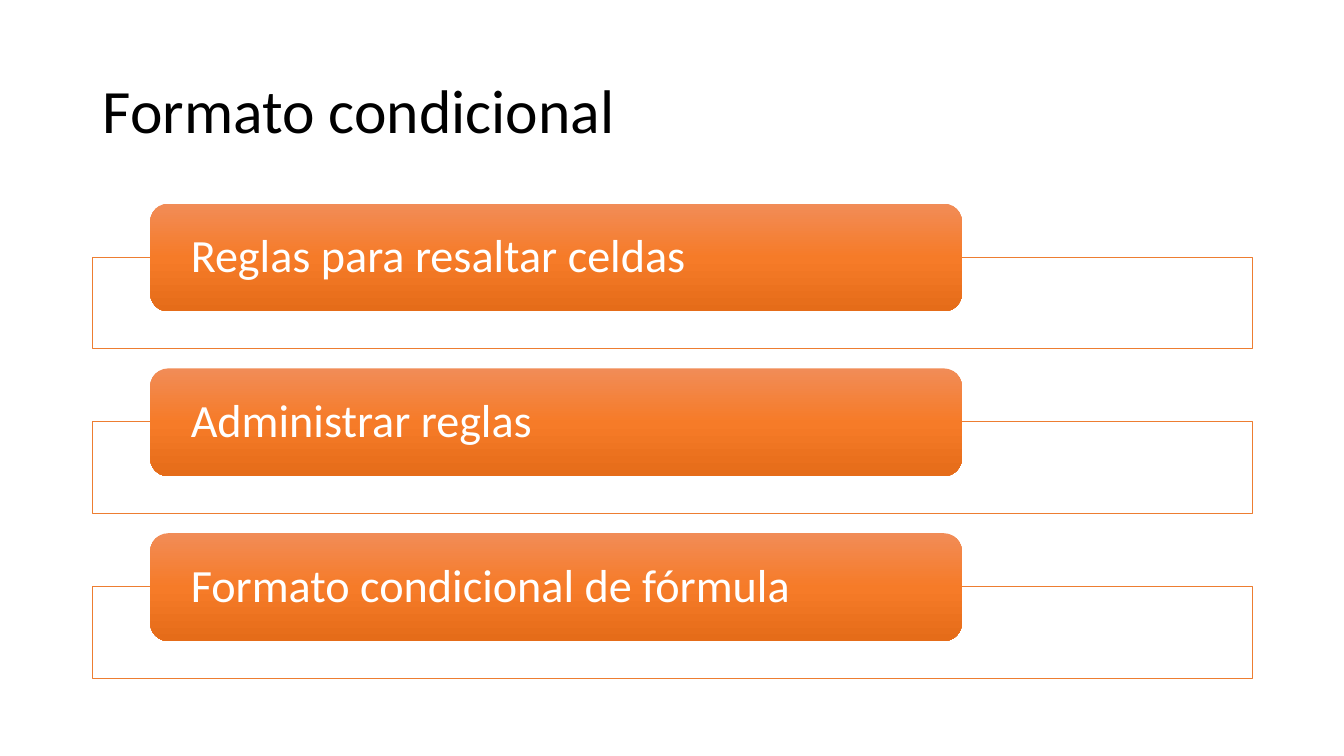
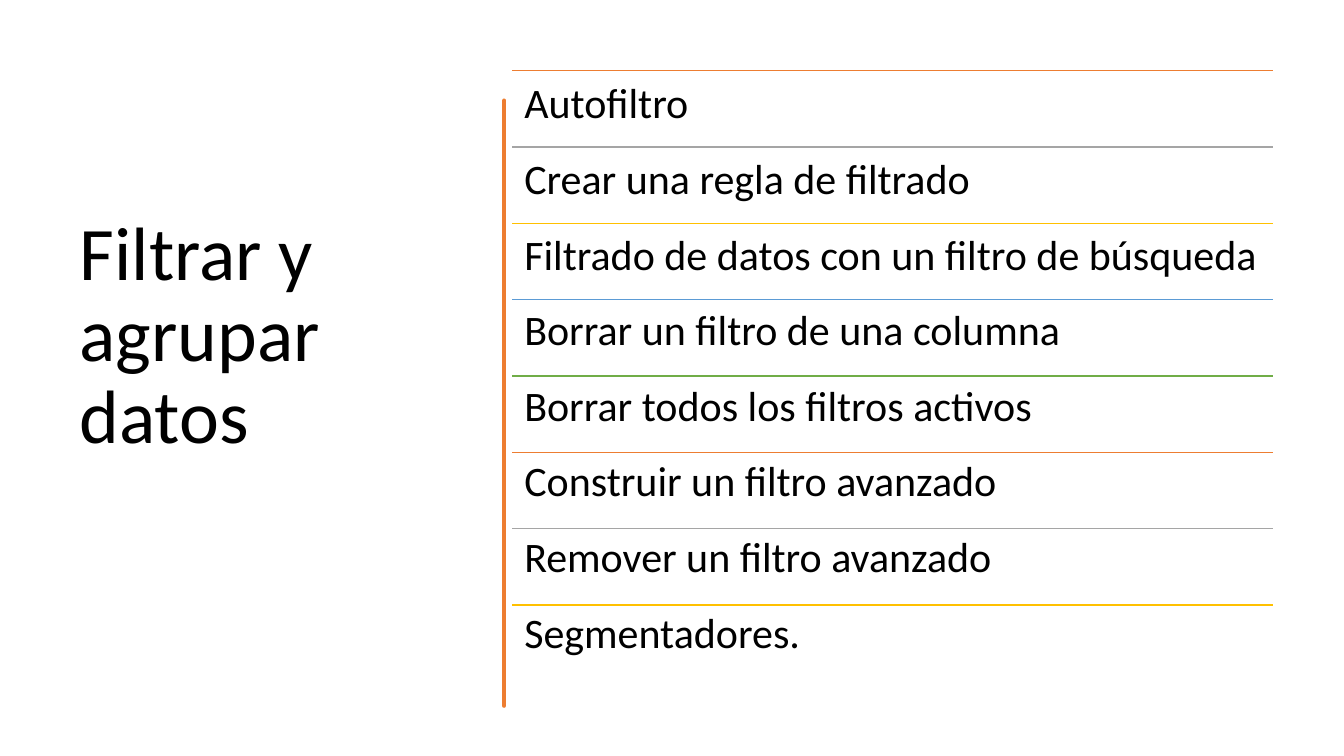
from dataclasses import dataclass

from lxml import etree
from pptx import Presentation
from pptx import util as u
from pptx.dml.color import RGBColor
from pptx.enum import shapes, text
from pptx.oxml.ns import qn

WIDTH, HEIGHT = 13.33, 7.5
FONT = "Calibri"
BLACK, WHITE = "000000", "FFFFFF"
ORANGE, GREY, GOLD, BLUE, GREEN = "ED7D31", "A5A5A5", "FFC000", "5B9BD5", "70AD47"
RULE_COLOURS = (ORANGE, GREY, GOLD, BLUE, GREEN)
CARD_GRADIENT = ((0, "F18C57"), (50, "F67B28"), (100, "E56C19"))

RULES = ("Reglas para resaltar celdas", "Administrar reglas",
         "Formato condicional de fórmula")
FILTERS = ("Autofiltro", "Crear una regla de filtrado",
           "Filtrado de datos con un filtro de búsqueda",
           "Borrar un filtro de una columna", "Borrar todos los filtros activos",
           "Construir un filtro avanzado", "Remover un filtro avanzado",
           "Segmentadores.")

# Outline of the brush stroke: down its right edge, up its left edge.
BRUSH_RIGHT = ((4.75, 0.84), (4.77, 1.13), (4.75, 1.46), (4.75, 2.26), (4.75, 2.94),
               (4.76, 3.25), (4.75, 3.56), (4.74, 3.75), (4.77, 4.15), (4.75, 4.36),
               (4.73, 4.6), (4.73, 4.8), (4.75, 5.1), (4.77, 5.48), (4.75, 5.84),
               (4.75, 6.3), (4.75, 6.76))
BRUSH_LEFT = ((4.73, 6.76), (4.72, 6.45), (4.73, 6.13), (4.74, 5.85), (4.73, 5.57),
              (4.72, 5.18), (4.73, 4.77), (4.72, 4.48), (4.73, 4.15), (4.73, 3.35),
              (4.73, 2.5), (4.74, 2.1), (4.73, 1.81), (4.72, 1.6), (4.74, 1.15),
              (4.73, 0.84))


@dataclass(frozen=True)
class Area:
    left: float
    top: float
    width: float
    height: float

    def lengths(self) -> tuple:
        return tuple(u.Inches(v) for v in (self.left, self.top, self.width, self.height))

    def row(self, index: int, pitch: float, height: float) -> "Area":
        return Area(self.left, self.top + index * pitch, self.width, height)


PANELS = Area(0.92, 2.55, 11.5, 4.18)
CARDS = Area(1.49, 2.02, 8.05, 4.34)
PANEL_PITCH, PANEL_HEIGHT, CARD_HEIGHT = 1.635, 0.91, 1.07
LIST = Area(5.08, 0.7, 7.55, 6.06)
LIST_PITCH = LIST.height / len(FILTERS)


def colour(code: str) -> RGBColor:
    return RGBColor.from_string(code)


def paint(shape, fill: str, line: str, width: float) -> None:
    shape.shadow.inherit = False
    shape.fill.solid()
    shape.fill.fore_color.rgb = colour(fill)
    shape.line.color.rgb = colour(line)
    shape.line.width = u.Pt(width)


def set_frame(shape, anchor, side: float, end: float) -> None:
    """Sets anchor and insets; side is left and right, end is top and bottom."""
    frame = shape.text_frame
    frame.word_wrap = True
    frame.auto_size = text.MSO_AUTO_SIZE.NONE
    frame.vertical_anchor = anchor
    frame.margin_left = frame.margin_right = u.Inches(side)
    frame.margin_top = frame.margin_bottom = u.Inches(end)


def format_text(shape, size: float, code: str, gap: float = 0) -> None:
    for para in shape.text_frame.paragraphs:
        para.alignment = text.PP_ALIGN.LEFT
        para.line_spacing = 0.9
        para.space_before = u.Pt(0)
        para.space_after = u.Pt(gap)
        for span in para.runs:
            span.font.name = FONT
            span.font.size = u.Pt(size)
            span.font.color.rgb = colour(code)


def place(shape, area: Area) -> None:
    shape.left, shape.top, shape.width, shape.height = area.lengths()


def add_titled_slide(deck, layout: int, title: str, area: Area, size: float):
    slide = deck.slides.add_slide(deck.slide_layouts[layout])
    box = slide.shapes.title
    place(box, area)
    box.text_frame.text = title
    set_frame(box, text.MSO_ANCHOR.MIDDLE, 0.1, 0.05)
    format_text(box, size, BLACK)
    return slide


def fill_gradient(shape, stops: tuple) -> None:
    """Fills from top to bottom with (percent, colour) stops."""
    shape.fill.gradient()
    shape.fill.gradient_angle = 270
    stop_list = next(shape.element.iter(qn("a:gsLst")))
    for old in list(stop_list):
        stop_list.remove(old)
    for percent, code in stops:
        stop = etree.SubElement(stop_list, qn("a:gs"), pos=str(percent * 1000))
        etree.SubElement(stop, qn("a:srgbClr"), val=code)


def add_rule_card(slide, index: int, label: str) -> None:
    panel_area = PANELS.row(index, PANEL_PITCH, PANEL_HEIGHT)
    panel = slide.shapes.add_shape(shapes.MSO_SHAPE.RECTANGLE, *panel_area.lengths())
    paint(panel, WHITE, ORANGE, 0.5)
    card_area = CARDS.row(index, PANEL_PITCH, CARD_HEIGHT)
    card = slide.shapes.add_shape(shapes.MSO_SHAPE.ROUNDED_RECTANGLE, *card_area.lengths())
    card.shadow.inherit = False
    card.line.fill.background()
    fill_gradient(card, CARD_GRADIENT)
    card.text_frame.text = label
    set_frame(card, text.MSO_ANCHOR.MIDDLE, 0.35, 0.05)
    format_text(card, 33, WHITE)


def add_brush_stroke(slide) -> None:
    start, *rest = BRUSH_RIGHT + BRUSH_LEFT
    builder = slide.shapes.build_freeform(*start, scale=u.Inches(1))
    builder.add_line_segments(rest, close=True)
    stroke = builder.convert_to_shape()
    paint(stroke, ORANGE, ORANGE, 3.25)
    etree.SubElement(stroke.line._get_or_add_ln(), qn("a:round"))


def add_separator(slide, index: int) -> None:
    area = LIST.row(index, LIST_PITCH, 0)
    left, top, width, _ = area.lengths()
    rule = slide.shapes.add_connector(shapes.MSO_CONNECTOR.STRAIGHT,
                                      left, top, left + width, top)
    rule.line.color.rgb = colour(RULE_COLOURS[index % len(RULE_COLOURS)])
    rule.line.width = u.Pt(1)
    etree.SubElement(rule.element.spPr, qn("a:effectLst"))


def fill_list(box, items: tuple) -> None:
    """Writes one item per row of the list, without bullets."""
    place(box, LIST)
    box.text_frame.text = "\n".join(items)
    set_frame(box, text.MSO_ANCHOR.TOP, 0.12, 0.12)
    size = 30
    line_height = size * 1.22 * 0.9
    format_text(box, size, BLACK, round(LIST_PITCH * 72 - line_height, 1))
    for para in box.text_frame.paragraphs:
        properties = para._p.get_or_add_pPr()
        properties.set("marL", "0")
        properties.set("indent", "0")
        etree.SubElement(properties, qn("a:buNone"))


def build_formatting_slide(deck) -> None:
    slide = add_titled_slide(deck, 5, "Formato condicional",
                             Area(0.92, 0.4, 11.5, 1.45), 44)
    for index, label in enumerate(RULES):
        add_rule_card(slide, index, label)


def build_filter_slide(deck) -> None:
    slide = add_titled_slide(deck, 1, "Filtrar y agrupar datos",
                             Area(0.69, 0.7, 3.74, 5.29), 54)
    add_brush_stroke(slide)
    for index in range(len(FILTERS)):
        add_separator(slide, index)
    fill_list(slide.placeholders[1], FILTERS)


def main() -> None:
    deck = Presentation()
    deck.slide_width, deck.slide_height = u.Inches(WIDTH), u.Inches(HEIGHT)
    build_formatting_slide(deck)
    build_filter_slide(deck)
    deck.save("out.pptx")


if __name__ == "__main__":
    main()
